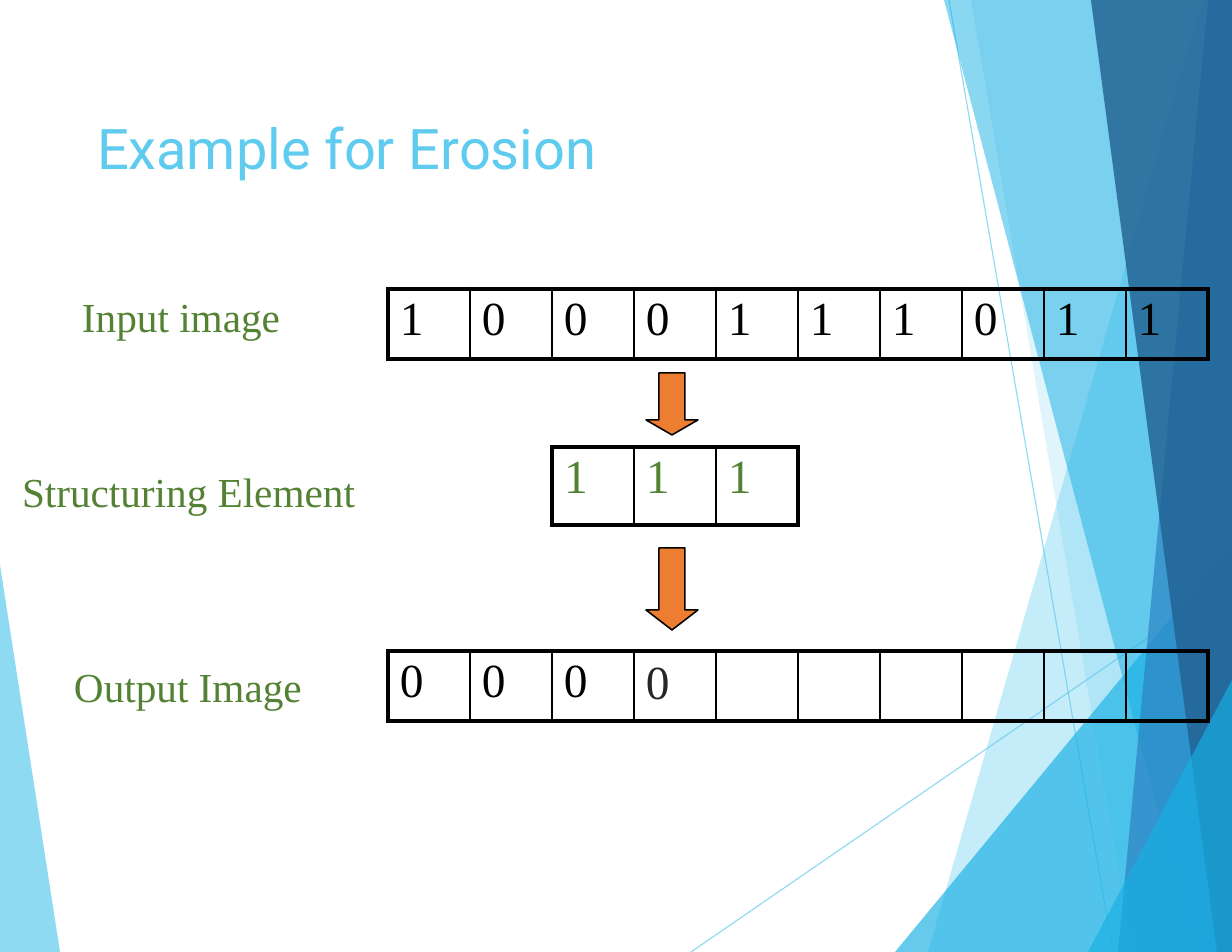
import pptx
import pptx.dml.color
import pptx.enum.shapes
import pptx.enum.text
import pptx.oxml
import pptx.oxml.ns
import pptx.util

WIDE, HIGH = 1232, 952
SCALE = 914400 / 112
CELL = 82
LEFT = 388
SERIF = "Times New Roman"
HUE = {
    "sky": "5FCBEF", "cyan": "17B0E4", "blue": "2E83C3", "navy": "226292",
    "green": "548235", "orange": "ED7D31", "black": "000000", "dark": "262626",
}


def px(size):
    return pptx.util.Emu(round(size * SCALE))


def rgb(name):
    return pptx.dml.color.RGBColor.from_string(HUE[name])


def fade(shape, alpha):
    """Make the fill or line colour of a shape partly clear."""
    props = shape._element.spPr
    for tone in props.iter(pptx.oxml.ns.qn("a:srgbClr")):
        part = tone.makeelement(pptx.oxml.ns.qn("a:alpha"), {"val": str(alpha * 1000)})
        tone.append(part)


def write(para, text, size, font, hue):
    run = para.add_run()
    run.text = text
    run.font.size = pptx.util.Pt(size)
    run.font.name = font
    run.font.color.rgb = rgb(hue)


def inset(frame, top):
    frame.margin_left = frame.margin_right = frame.margin_bottom = 0
    frame.margin_top = px(top)
    frame.word_wrap = True
    frame.vertical_anchor = pptx.enum.text.MSO_ANCHOR.TOP


def band(slide, edge, x, y, foot, hue, alpha):
    """Fill the area from a side edge to the slant (x, y) to (foot, bottom)."""
    pen = slide.shapes.build_freeform(px(x), px(y))
    pen.add_line_segments(
        [(px(foot), px(HIGH)), (px(edge), px(HIGH)), (px(edge), px(y))])
    shape = pen.convert_to_shape()
    shape.shadow.inherit = False
    shape.fill.solid()
    shape.fill.fore_color.rgb = rgb(hue)
    shape.line.fill.background()
    fade(shape, alpha)


def ray(slide, *ends):
    line = slide.shapes.add_connector(
        pptx.enum.shapes.MSO_CONNECTOR.STRAIGHT, *map(px, ends))
    line.line.color.rgb = rgb("sky")
    line.line.width = pptx.util.Pt(0.75)
    fade(line, 70)
    props = line._element.spPr
    props.append(props.makeelement(pptx.oxml.ns.qn("a:effectLst"), {}))


def backdrop(slide):
    band(slide, 0, 0, 565, 60, "sky", 70)
    ray(slide, 691, HIGH, WIDE, 580)
    ray(slide, 949, 0, 1113, HIGH)
    for x, y, foot, hue, alpha in (
        (1202, 0, 928, "sky", 36),
        (971, 0, 1132, "sky", 20),
        (WIDE, 544, 895, "cyan", 66),
        (944, 0, 1195, "cyan", 50),
        (1208, 0, 1118, "blue", 70),
        (1091, 0, 1217, "navy", 82),
        (WIDE, 680, 1088, "cyan", 66),
    ):
        band(slide, WIDE, x, y, foot, hue, alpha)


def title(slide, box, text):
    shape = slide.shapes.title
    shape.left, shape.top, shape.width, shape.height = map(px, box)
    frame = shape.text_frame
    inset(frame, 2)
    frame.auto_size = pptx.enum.text.MSO_AUTO_SIZE.NONE
    para = frame.paragraphs[0]
    para.alignment = pptx.enum.text.PP_ALIGN.LEFT
    write(para, text, 36, "Roboto", "sky")


def label(slide, box, lines):
    """Write lines given as (text, indent in px, space before in pt)."""
    frame = slide.shapes.add_textbox(*map(px, box)).text_frame
    inset(frame, 1)
    for spot, (text, indent, gap) in enumerate(lines):
        para = frame.add_paragraph() if spot else frame.paragraphs[0]
        para._p.get_or_add_pPr().set("marL", str(px(indent)))
        if gap:
            para.space_before = pptx.util.Pt(gap)
        write(para, text, 26.5, SERIF, "green")


def border(cell, widths):
    """Draw black cell sides; widths maps L, R, T, B to points."""
    props = cell._tc.get_or_add_tcPr()
    for spot, (side, width) in enumerate(widths.items()):
        props.insert(spot, pptx.oxml.parse_xml(
            f'<a:ln{side} {pptx.oxml.ns.nsdecls("a")} w="{pptx.util.Pt(width)}">'
            f'<a:solidFill><a:srgbClr val="{HUE["black"]}"/></a:solidFill>'
            f'</a:ln{side}>'))


def pixels(slide, box, values, hues):
    """Place a one-row table of pixel values."""
    count = len(values)
    table = slide.shapes.add_table(1, count, *map(px, box)).table
    table.first_row = table.horz_banding = False
    table.rows[0].height = px(box[3])
    for col, (value, hue) in enumerate(zip(values, hues)):
        table.columns[col].width = px(CELL)
        cell = table.cell(0, col)
        cell.fill.background()
        border(cell, {"L": 1.5 if col else 3, "R": 1.5 if col < count - 1 else 3,
                      "T": 3, "B": 3})
        cell.margin_left = cell.margin_right = cell.margin_bottom = 0
        cell.margin_top = px(6 if hue == "dark" else 4)
        if value.strip():
            para = cell.text_frame.paragraphs[0]
            para._p.get_or_add_pPr().set("marL", str(px(12)))
            write(para, value, 30.5, SERIF, hue)


def arrow(slide, box, head):
    shape = slide.shapes.add_shape(
        pptx.enum.shapes.MSO_SHAPE.DOWN_ARROW, *map(px, box))
    shape.adjustments[0] = 0.5
    shape.adjustments[1] = head / box[2]
    shape.shadow.inherit = False
    shape.fill.solid()
    shape.fill.fore_color.rgb = rgb("orange")
    shape.line.color.rgb = rgb("black")
    shape.line.width = pptx.util.Pt(1)


def main():
    deck = pptx.Presentation()
    deck.slide_width, deck.slide_height = px(WIDE), px(HIGH)
    slide = deck.slides.add_slide(deck.slide_layouts[5])

    backdrop(slide)
    title(slide, (97, 112, 622, 71), "Example for Erosion")
    full = 10 * CELL
    pixels(slide, (LEFT, 289, full, 70), "1000111011", ["black"] * 10)
    label(slide, (21, 290, 335, 222),
          [("Input image", 61, 0), ("Structuring Element", 1, 81)])
    label(slide, (73, 660, 230, 53), [("Output Image", 1, 0)])
    pixels(slide, (LEFT + 2 * CELL, 447, 3 * CELL, 78), "111", ["green"] * 3)
    arrow(slide, (646, 548, 52, 82), 20)
    arrow(slide, (646, 373, 52, 62), 15)
    pixels(slide, (LEFT, 651, full, 70), "0000".ljust(10),
           ["black"] * 3 + ["dark"] + ["black"] * 6)
    deck.save("out.pptx")


if __name__ == "__main__":
    main()
